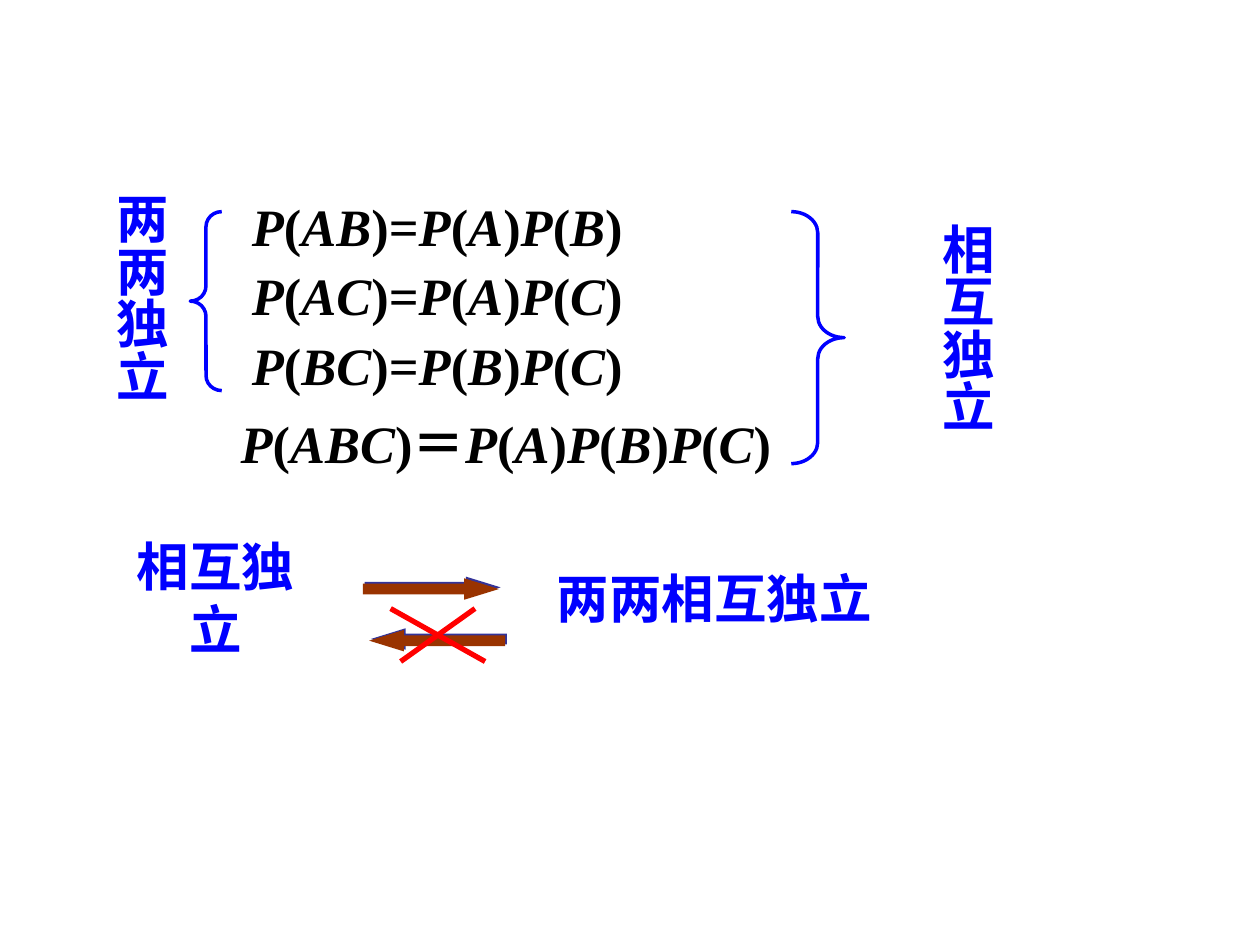
from itertools import groupby

from lxml.etree import SubElement
from pptx import Presentation
from pptx.dml.color import RGBColor
from pptx.enum.shapes import MSO_CONNECTOR, MSO_SHAPE
from pptx.enum.text import MSO_ANCHOR, MSO_AUTO_SIZE, PP_ALIGN
from pptx.oxml.ns import qn
from pptx.util import Inches, Pt

HUES = {"ink": "000000", "blue": "0000FF", "rust": "993300",
        "navy": "333399", "red": "FF0000"}
FONT = {"name": "Times New Roman", "size": Pt(30), "bold": True}
FRAME = {"word_wrap": False, "auto_size": MSO_AUTO_SIZE.SHAPE_TO_FIT_TEXT,
         "vertical_anchor": MSO_ANCHOR.MIDDLE}
FLAT = {"margin_left": Inches(0.1), "margin_right": Inches(0.1),
        "margin_top": Inches(0.05), "margin_bottom": Inches(0.05)}
TALL = {"margin_left": Inches(0.05), "margin_right": Inches(0.05),
        "margin_top": Inches(0.1), "margin_bottom": Inches(0.1)}
MID = {"alignment": PP_ALIGN.CENTER}


def color(name):
    return RGBColor.from_string(HUES[name])


def apply(item, form):
    for key, val in form.items():
        setattr(item, key, val)


def box(slide, spot, form):
    frame = slide.shapes.add_textbox(*map(Inches, spot)).text_frame
    apply(frame, FRAME | form)
    return frame


def write(para, text, hue, **more):
    run = para.add_run()
    run.text = text
    apply(run.font, FONT | more)
    run.font.color.rgb = color(hue)


def math(slide, spot, lines, form):
    """Formulas, one a line, with letters in italics and signs upright."""
    frame = box(slide, spot, FLAT)
    for i, line in enumerate(lines):
        para = frame.add_paragraph() if i else frame.paragraphs[0]
        apply(para, form)
        for slant, part in groupby(line, str.isalpha):
            write(para, "".join(part), "ink", italic=slant)


def label(slide, spot, text):
    para = box(slide, spot, FLAT).paragraphs[0]
    apply(para, MID)
    write(para, text, "blue")


def column(slide, spot, text):
    """A label that reads from top to bottom."""
    frame = box(slide, spot, TALL)
    frame._txBody.bodyPr.set("vert", "eaVert")
    para = frame.paragraphs[0]
    apply(para, MID | {"space_before": Pt(18.7)})
    write(para, text, "blue")


def brace(slide, kind, spot, bend):
    shape = slide.shapes.add_shape(kind, *map(Inches, spot))
    shape.shadow.inherit = False
    shape.adjustments[0] = bend
    shape.fill.background()
    shape.line.color.rgb = color("blue")
    shape.line.width = Pt(2)


def arrow(home, kind, left, top):
    """A block arrow with a hard shadow up and to the right."""
    shape = home.shapes.add_shape(kind, *map(Inches, (left, top, 1.08, 0.17)))
    shape.adjustments[0], shape.adjustments[1] = 0.5, 1.62
    shape.fill.solid()
    shape.fill.fore_color.rgb = color("rust")
    shape.line.fill.background()
    shape.shadow.inherit = False
    glow = shape.element.spPr.find(qn("a:effectLst"))
    cast = SubElement(glow, qn("a:outerShdw"), dist=str(Pt(1.4)),
                      dir=str(315 * 60000), algn="ctr", rotWithShape="0")
    SubElement(cast, qn("a:srgbClr"), val=HUES["navy"])


def stroke(home, start, end):
    line = home.shapes.add_connector(
        MSO_CONNECTOR.STRAIGHT, *map(Inches, start + end))
    line.line.color.rgb = color("red")
    line.line.width = Pt(3)
    SubElement(line.element.spPr, qn("a:effectLst"))


def main():
    deck = Presentation()
    deck.slide_width, deck.slide_height = Inches(10), Inches(7.5)
    slide = deck.slides.add_slide(deck.slide_layouts[6])

    math(slide, (1.9, 1.44, 3.25, 1.75),
         ["P(AB)=P(A)P(B)", "P(AC)=P(A)P(C)", "P(BC)=P(B)P(C)"],
         {"line_spacing": 1.1})
    math(slide, (1.71, 3.21, 4.61, 0.6), ["P(ABC)＝P(A)P(B)P(C)"], MID)

    brace(slide, MSO_SHAPE.LEFT_BRACE, (1.51, 1.68, 0.25, 1.42), 0.48)
    column(slide, (0.77, 1.43, 0.7, 1.77), "两两独立")
    brace(slide, MSO_SHAPE.RIGHT_BRACE, (6.28, 1.68, 0.42, 2), 0.4)
    column(slide, (7.32, 1.67, 0.7, 1.77), "相互独立")

    label(slide, (0.78, 4.44, 1.86, 0.6), "相互独立")
    label(slide, (4.32, 4.44, 2.7, 0.6), "两两相互独立")

    arrow(slide, MSO_SHAPE.RIGHT_ARROW, 2.88, 4.59)
    group = slide.shapes.add_group_shape()
    arrow(group, MSO_SHAPE.LEFT_ARROW, 2.93, 5)
    stroke(group, (3.77, 4.83), (3.18, 5.25))
    stroke(group, (3.1, 4.83), (3.85, 5.25))

    deck.save("out.pptx")


if __name__ == "__main__":
    main()
